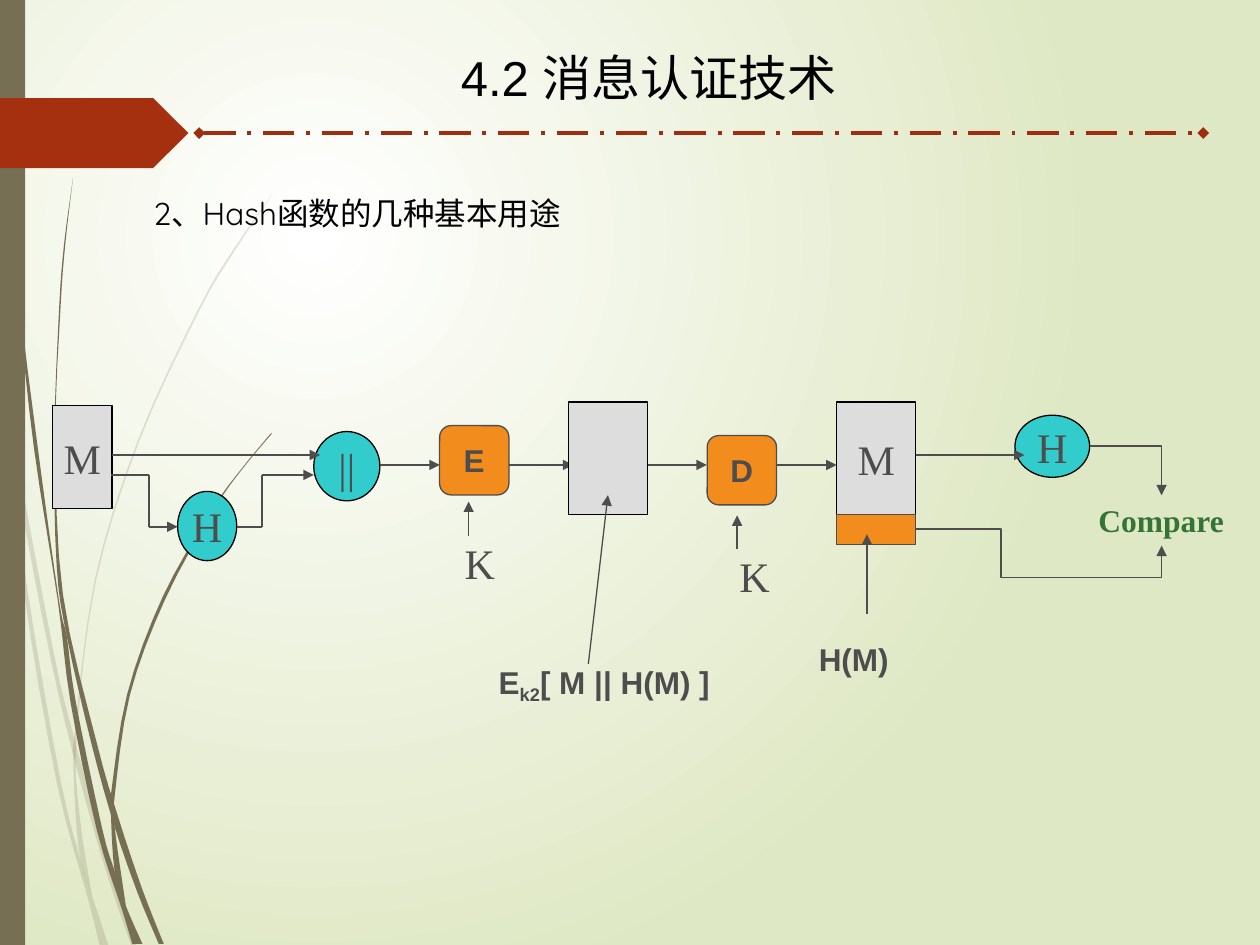
import pptx
import pptx.dml.color
import pptx.enum.dml
import pptx.enum.shapes
import pptx.enum.text
import pptx.oxml
import pptx.oxml.ns
import pptx.util

Pt = pptx.util.Pt
RGB = pptx.dml.color.RGBColor.from_string
SHAPE = pptx.enum.shapes.MSO_SHAPE
CONNECTOR = pptx.enum.shapes.MSO_CONNECTOR
ALIGN = pptx.enum.text.PP_ALIGN
qn = pptx.oxml.ns.qn
NS = pptx.oxml.ns.nsdecls("a")
COLORS = {"olive": "766F54", "red": "A53010", "rule": "9E2E0F", "black": "000000",
          "gray": "DDDDDD", "teal": "33CCCC", "orange": "F28C1C", "ink": "4D4D4D",
          "green": "347436", "white": "FFFFFF", "lime": "DFE8C4"}
SERIF, SANS = "Times New Roman", "Arial"


def write(shape, parts, font, size, color, bold=False, wrap=False, align=ALIGN.LEFT):
    """Fill a shape with one paragraph; parts are (text, baseline) pairs."""
    shape.text_frame.word_wrap = wrap
    paragraph = shape.text_frame.paragraphs[0]
    paragraph.alignment = align
    paragraph.font.name, paragraph.font.size = font, Pt(size)
    paragraph.font.bold = bold
    paragraph.font.color.rgb = RGB(COLORS[color])
    for text, baseline in parts:
        run = paragraph.add_run()
        run.text = text
        if baseline:
            run.font._element.set("baseline", str(baseline))


def connect(start, end, width=1, head=None, tail=None, color="ink", kind=CONNECTOR.STRAIGHT):
    line = slide.shapes.add_connector(kind, *(Pt(v) for v in start + end))
    line.line.width = Pt(width)
    line.line.color.rgb = RGB(COLORS[color])
    for tag, style in (("headEnd", head), ("tailEnd", tail)):
        if style:
            line.line._get_or_add_ln().append(
                pptx.oxml.parse_xml(f'<a:{tag} {NS} type="{style}"/>'))
    line._element.spPr.append(pptx.oxml.parse_xml(f"<a:effectLst {NS}/>"))
    return line


deck = pptx.Presentation()
deck.slide_width, deck.slide_height = Pt(720), Pt(540)
slide = deck.slides.add_slide(deck.slide_layouts[6])

# Background: radial gradient centred in the upper left
background = slide.background.fill
background.gradient()
for stop, color, position in zip(background.gradient_stops, ("white", "lime"), (0, 1)):
    stop.color.rgb, stop.position = RGB(COLORS[color]), position
gradient = slide._element.find(".//" + qn("a:gradFill"))
gradient.replace(gradient.find(qn("a:lin")), pptx.oxml.parse_xml(
    f'<a:path {NS} path="circle"><a:fillToRect l="50000" t="50000" r="100000" b="100000"/></a:path>'))

# Grass strands: left edge downwards, right edge back up, opacity in percent
strands = [
    ([(0, 203), (4.3, 232), (7.2, 248.4), (31, 374.4), (42.5, 422), (63.4, 498.2), (77.8, 540)],
     [(74.9, 540), (61.2, 499.7), (43.9, 439.2), (28.8, 375.8), (8.6, 270.7), (5, 247.7), (0, 215.3)], 20),
    ([(5.8, 252), (13.7, 338.4), (32.4, 447.1), (50.4, 514.1), (56.9, 540)],
     [(61.9, 540), (52.6, 512), (46.1, 491.8), (34.6, 445.7), (15.8, 337.7), (5.8, 252)], 20),
    ([(156.2, 110.2), (133.9, 141.8), (113.8, 175.7), (79.2, 250.6), (54, 331.9), (42.5, 420.5),
      (41.8, 431.3), (43.2, 465.1), (46.1, 491.8), (52.6, 512)],
     [(52.6, 512), (45.4, 465.1), (43.9, 420.5), (54.7, 332.6), (79.9, 251.3), (114.5, 176.4),
      (134.6, 142.6), (156.2, 110.2)], 20),
    ([(1.4, 0), (3.6, 79.2), (10.1, 167.8), (19.4, 255.6), (33.1, 343.4), (40.3, 401),
      (55.4, 474.5), (69.8, 519.8), (75.6, 539.3)],
     [(81.4, 539.3), (72, 517.7), (65.5, 497.5), (58.3, 473), (43.2, 400.3), (38.2, 363.6),
      (33.8, 343.4), (21.6, 255.6), (10.8, 167), (4.3, 78.5), (2.2, 0)], 100),
    ([(41.8, 101.5), (36.7, 139), (33.8, 176.4), (31, 251.3), (32.4, 323.3), (38.2, 363.6),
      (52.6, 426.2), (65.5, 472.3), (78.5, 509.8), (90.7, 539.3)],
     [(93.6, 539.3), (81.4, 508.3), (67.7, 467.3), (55.4, 424.8), (36, 339.8), (31.7, 251.3),
      (34.6, 176.4), (37.4, 139), (41.8, 101.5)], 100),
    ([(154.8, 247.7), (137.5, 268.6), (121, 291.6), (92.9, 341.3), (72.7, 396.7), (63.4, 454.3),
      (63.4, 464.4), (65.5, 497.5), (72, 517.7)],
     [(72, 517.7), (65.5, 472.3), (65.5, 455.8), (74.2, 397.4), (94.3, 342.7), (121.7, 292.3),
      (137.5, 269.3), (155.5, 247.7)], 100),
]
for left_edge, right_edge, opacity in strands:
    outline = []
    for edge in (left_edge, right_edge):
        # Catmull-Rom curve through the points of the edge
        padded = [edge[0]] + edge + [edge[-1]]
        for a, b, c, d in zip(padded, padded[1:], padded[2:], padded[3:]):
            for t in (0, 0.25, 0.5, 0.75):
                outline.append([Pt(q + t / 2 * (r - p + t * (2 * p - 5 * q + 4 * r - s
                                                            + t * (3 * q - p - 3 * r + s))))
                                for p, q, r, s in zip(a, b, c, d)])
        outline.append([Pt(v) for v in edge[-1]])
    builder = slide.shapes.build_freeform(*outline[0])
    builder.add_line_segments(outline[1:], close=True)
    strand = builder.convert_to_shape()
    strand.shadow.inherit = False
    strand.line.fill.background()
    strand.fill.solid()
    strand.fill.fore_color.rgb = RGB(COLORS["olive"])
    if opacity < 100:
        strand._element.spPr.find(".//" + qn("a:srgbClr")).append(
            pptx.oxml.parse_xml(f'<a:alpha {NS} val="{opacity * 1000}"/>'))

# Side bar and pointed tab
side_bar = slide.shapes.add_shape(SHAPE.RECTANGLE, 0, 0, Pt(14.4), Pt(540))
tab = slide.shapes.add_shape(SHAPE.PENTAGON, 0, Pt(56), Pt(107.6), Pt(40))
for decoration, color in ((side_bar, "olive"), (tab, "red")):
    decoration.shadow.inherit = False
    decoration.fill.solid()
    decoration.fill.fore_color.rgb = RGB(COLORS[color])
    decoration.line.fill.background()

# Rule under the title
rule = connect((113.8, 76), (687.6, 76), 2.25, "diamond", "diamond", "rule")
rule.line.dash_style = pptx.enum.dml.MSO_LINE.LONG_DASH_DOT

# The arrow into the ciphertext block runs under it
connect((279.4, 265.7), (327.6, 265.7), tail="triangle")

# Blocks: shape, box, fill, outline, text, font, size
blocks = [
    (SHAPE.RECTANGLE, (30.2, 231.8, 33.8, 59), "gray", "black", "M", SERIF, 24),
    (SHAPE.OVAL, (101.5, 280.8, 33.8, 39.6), "teal", "black", "H", SERIF, 24),
    (SHAPE.OVAL, (179.3, 246.6, 37.8, 39.6), "teal", "black", "||", SERIF, 24),
    (SHAPE.ROUNDED_RECTANGLE, (251.2, 243.2, 39.6, 39.6), "orange", "ink", "E", SANS, 18),
    (SHAPE.RECTANGLE, (324.9, 229.7, 45.2, 64.4), "gray", "black", "", SANS, 18),
    (SHAPE.ROUNDED_RECTANGLE, (404.1, 248.9, 39.6, 39.6), "orange", "ink", "D", SANS, 18),
    (SHAPE.RECTANGLE, (478.1, 229.7, 45.2, 64.4), "gray", "black", "M", SERIF, 24),
    (SHAPE.RECTANGLE, (478.1, 294.1, 45.2, 17), "orange", "ink", "", SANS, 18),
    (SHAPE.OVAL, (580, 237.3, 42.7, 35.5), "teal", "black", "H", SERIF, 24),
]
for kind, box, fill, outline, text, font, size in blocks:
    block = slide.shapes.add_shape(kind, *(Pt(v) for v in box))
    block.shadow.inherit = False
    block.fill.solid()
    block.fill.fore_color.rgb = RGB(COLORS[fill])
    block.line.color.rgb = RGB(COLORS[outline])
    block.line.width = Pt(0.75)
    if text:
        write(block, [(text, 0)], font, size, "ink", font == SANS, align=ALIGN.CENTER)

# Plain line pieces leading in and out of the first hash
for start, end in [((63.4, 271.4), (85, 271.4)), ((85, 271.4), (85, 301)),
                   ((135.4, 301), (149.8, 301)), ((149.8, 301), (149.8, 271.4))]:
    connect(start, end)

# Arrows
for start, end, width in [
    ((85, 301), (101.5, 301), 1), ((149.8, 271.4), (179.3, 271.4), 1),
    ((64, 260), (182.9, 260), 1), ((217.4, 265.7), (251.3, 265.7), 0.75),
    ((370.1, 265.7), (403.9, 265.7), 0.75), ((443.5, 265.7), (478.1, 265.7), 1),
    ((523.4, 260), (585.4, 260), 0.75), ((336.2, 379.4), (347.4, 283), 0.75),
    ((495.4, 350.6), (495.4, 305.3), 0.75), ((267.8, 306), (267.8, 286.6), 1),
    ((421.2, 313.9), (421.2, 294.5), 1),
]:
    connect(start, end, width, tail="triangle")

# Bent arrows into the comparison
for start, end, preset, adjustments in [
    ((622.8, 254.9), (663.8, 283), "bentConnector2", []),
    ((523.4, 302.4), (663.8, 311.8), "bentConnector4", [34600, 293200]),
]:
    bend = connect(start, end, tail="triangle", kind=CONNECTOR.ELBOW)
    geometry = bend._element.spPr.find(qn("a:prstGeom"))
    geometry.set("prst", preset)
    guides = geometry.find(qn("a:avLst"))
    for number, value in enumerate(adjustments, 1):
        guides.append(pptx.oxml.parse_xml(f'<a:gd {NS} name="adj{number}" fmla="val {value}"/>'))

# Title, heading and labels: box, parts, font, size, colour, bold, wrap
for box, parts, font, size, color, bold, wrap in [
    ((256.3, 23.8, 244, 41), [("4.2 消息认证技术", 0)], SANS, 28, "black", False, True),
    ((80.6, 107.3, 249.1, 28.8), [("2、Hash函数的几种基本用途", 0)], "Quicksand", 18, "black", False, True),
    ((620.6, 283, 86.4, 28.8), [("Compare", 0)], SERIF, 18, "green", True, False),
    ((277.9, 375.1, 136.8, 28.8), [("E", 0), ("k2", -25000), ("[ M || H(M) ]", 0)],
     SANS, 18, "ink", True, False),
    ((258.5, 303.8, 31.7, 36), [("K", 0)], SERIF, 24, "ink", False, False),
    ((415.4, 311, 43.9, 36), [("K", 0)], SERIF, 24, "ink", False, True),
    ((460.8, 362.2, 54.7, 28.8), [("H(M)", 0)], SANS, 18, "ink", True, False),
]:
    label = slide.shapes.add_textbox(*(Pt(v) for v in box))
    write(label, parts, font, size, color, bold, wrap)
    label.text_frame.auto_size = pptx.enum.text.MSO_AUTO_SIZE.SHAPE_TO_FIT_TEXT

deck.save("out.pptx")
